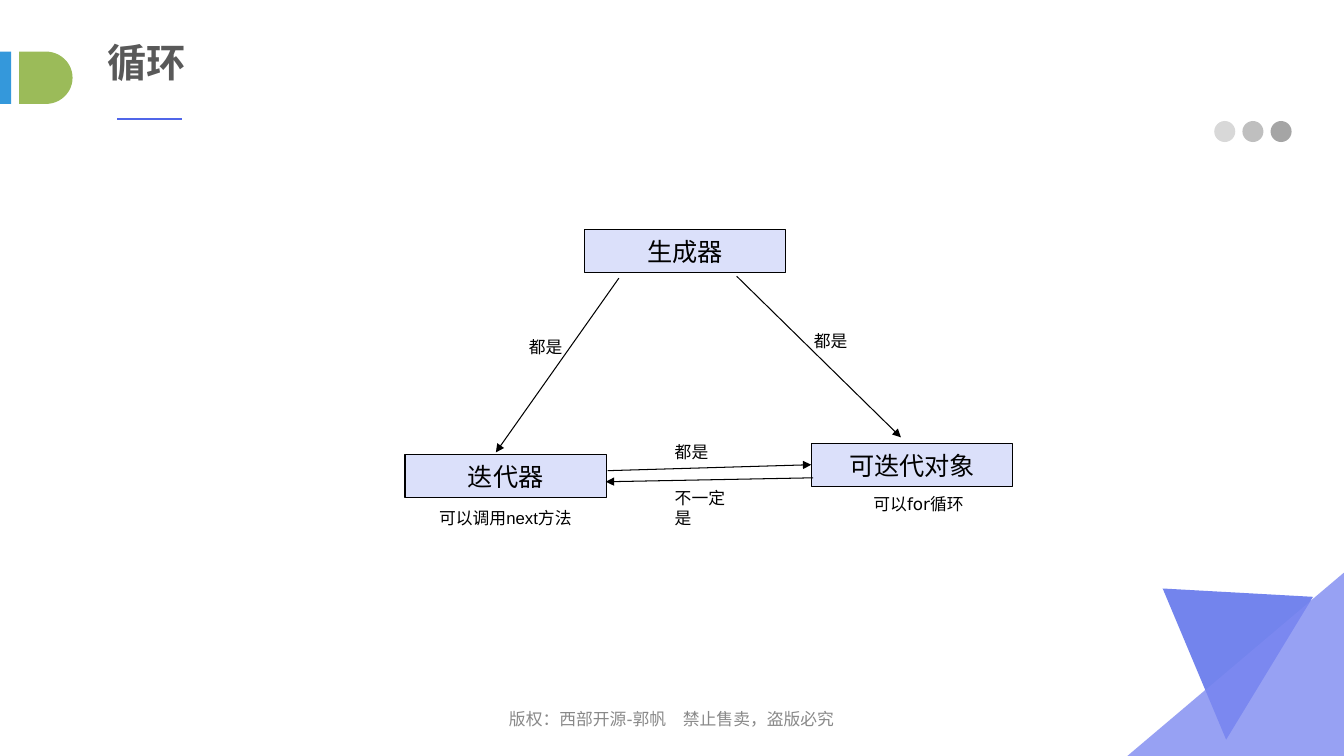
from dataclasses import dataclass

from lxml.etree import SubElement
from pptx import Presentation
from pptx.dml.color import RGBColor
from pptx.enum.shapes import MSO_CONNECTOR, MSO_SHAPE
from pptx.enum.text import MSO_ANCHOR, MSO_AUTO_SIZE, PP_ALIGN
from pptx.oxml.ns import qn
from pptx.util import Cm, Pt


@dataclass(frozen=True)
class Theme:
    accent: str = "5066E9"
    accent_light: str = "7E8AF1"
    blue: str = "3498DB"
    green: str = "9BBB59"
    dots: tuple = ("D8D8D8", "BFBFBF", "A5A5A5")
    node: str = "DBE0FA"
    ink: str = "000000"
    title: str = "595959"
    footer: str = "898989"
    sans: str = "Arial"
    wide: str = "DejaVu Sans"
    mono: str = "Courier New"
    title_size: float = 28
    node_size: float = 18
    small_size: float = 12
    thin: float = 0.75
    rule: float = 1.5


@dataclass(frozen=True)
class Box:
    """A region in centimetres; its parts are placed from its top left."""
    left: float
    top: float
    width: float
    height: float

    def inner(self, left, top, width, height):
        return Box(self.left + left, self.top + top, width, height)

    def point(self, x, y):
        return Cm(self.left + x), Cm(self.top + y)

    def lengths(self):
        return [Cm(value) for value in (self.left, self.top, self.width, self.height)]


THEME = Theme()
PAGE = Box(0, 0, 33.88, 19.05)


def write_text(shape, text, *, size, font, color=THEME.ink, bold=False, align=PP_ALIGN.LEFT,
               anchor=MSO_ANCHOR.TOP, wrap=True, line_spacing=None):
    frame = shape.text_frame
    frame.word_wrap = wrap
    frame.auto_size = MSO_AUTO_SIZE.NONE
    frame.vertical_anchor = anchor
    paragraph = frame.paragraphs[0]
    paragraph.alignment = align
    paragraph.line_spacing = line_spacing
    run = paragraph.add_run()
    run.text = text
    run.font.size = Pt(size)
    run.font.name = font
    run.font.bold = bold
    run.font.color.rgb = RGBColor.from_string(color)


def add_text(shapes, box, text, **text_format):
    write_text(shapes.add_textbox(*box.lengths()), text, **text_format)


def paint(shape, fill, line=None, opacity=None):
    shape.shadow.inherit = False
    shape.fill.solid()
    shape.fill.fore_color.rgb = RGBColor.from_string(fill)
    if opacity is not None:
        color = shape.fill._xPr.find(qn("a:solidFill"))[0]
        SubElement(color, qn("a:alpha"), val=str(opacity * 1000))
    if line is None:
        shape.line.fill.background()
    else:
        shape.line.color.rgb = RGBColor.from_string(line)
        shape.line.width = Pt(THEME.thin)


def add_block(shapes, kind, box, fill, line=None):
    shape = shapes.add_shape(kind, *box.lengths())
    paint(shape, fill, line)
    return shape


def add_line(shapes, start, end, color, width, arrow=False):
    connector = shapes.add_connector(MSO_CONNECTOR.STRAIGHT, *start, *end)
    connector.line.color.rgb = RGBColor.from_string(color)
    connector.line.width = Pt(width)
    if arrow:
        SubElement(connector.line._get_or_add_ln(), qn("a:tailEnd"), type="triangle")
    SubElement(connector._element.spPr, qn("a:effectLst"))


def draw_footer(slide, box):
    add_text(slide.shapes, box, "版权：西部开源-郭帆　禁止售卖，盗版必究",
             size=THEME.small_size, font=THEME.wide, color=THEME.footer,
             align=PP_ALIGN.CENTER, anchor=MSO_ANCHOR.MIDDLE, line_spacing=1.2)


def draw_corner(slide, box):
    triangles = (
        (THEME.accent, ((4.68, 0.61), (2.49, 4.21), (0.89, 0.4))),
        (THEME.accent_light, ((box.width, box.height), (0, box.height), (box.width, 0))),
    )
    for fill, corners in triangles:
        first, *others = [box.point(*corner) for corner in corners]
        builder = slide.shapes.build_freeform(*first)
        builder.add_line_segments(others, close=True)
        paint(builder.convert_to_shape(), fill, opacity=80)


def draw_header(slide, box):
    # Title with its side marks and underline
    add_text(slide.shapes, box.inner(2.46, 0.74, 12.19, 1.63), "循环", size=THEME.title_size,
             font=THEME.mono, color=THEME.title, bold=True, anchor=MSO_ANCHOR.MIDDLE)
    add_block(slide.shapes, MSO_SHAPE.RECTANGLE, box.inner(0, 1.3, 0.28, 1.32), THEME.blue)
    add_block(slide.shapes, MSO_SHAPE.FLOWCHART_DELAY, box.inner(0.48, 1.3, 1.35, 1.32),
              THEME.green)
    add_line(slide.shapes, box.point(2.95, 3), box.point(4.6, 3), THEME.accent, THEME.rule)

    # Row of dots on the right
    dots = slide.shapes.add_group_shape().shapes
    for index, fill in enumerate(THEME.dots):
        add_block(dots, MSO_SHAPE.OVAL, box.inner(30.61 + 0.71 * index, 3.05, 0.53, 0.53), fill)


def draw_diagram(slide, box):
    shapes = slide.shapes.add_group_shape().shapes

    # Concepts
    for text, left, top, font in (
        ("生成器", 4.52, 0, THEME.sans),
        ("迭代器", 0, 5.67, THEME.wide),
        ("可迭代对象", 10.24, 5.39, THEME.wide),
    ):
        node = add_block(shapes, MSO_SHAPE.RECTANGLE, box.inner(left, top, 5.08, 1.09),
                         THEME.node, THEME.ink)
        write_text(node, text, size=THEME.node_size, font=font, align=PP_ALIGN.CENTER,
                   anchor=MSO_ANCHOR.MIDDLE, wrap=False)

    # Relations
    for start, end in (
        ((5.39, 1.22), (2.29, 5.61)),
        ((5.11, 6.07), (10.24, 5.92)),
        ((10.29, 6.25), (5.06, 6.35)),
        ((8.36, 1.17), (12.5, 5.23)),
    ):
        add_line(shapes, box.point(*start), box.point(*end), THEME.ink, THEME.thin, arrow=True)

    # Captions under the concepts and labels on the arrows
    for text, left, top, width, height, font, wrap in (
        ("可以调用next方法", 0.61, 6.88, 4.04, 0.76, THEME.sans, False),
        ("可以for循环", 11.56, 6.53, 2.97, 0.76, THEME.wide, False),
        ("都是", 2.87, 2.57, 1.68, 0.76, THEME.sans, True),
        ("都是", 6.55, 5.21, 1.78, 0.76, THEME.sans, True),
        ("不一定是", 6.55, 6.38, 1.78, 1.27, THEME.wide, True),
        ("都是", 10.06, 2.41, 1.68, 0.76, THEME.sans, True),
    ):
        add_text(shapes, box.inner(left, top, width, height), text,
                 size=THEME.small_size, font=font, wrap=wrap)


def main():
    presentation = Presentation()
    presentation.slide_width = Cm(PAGE.width)
    presentation.slide_height = Cm(PAGE.height)
    slide = presentation.slides.add_slide(presentation.slide_layouts[6])
    draw_footer(slide, PAGE.inner(11.43, 17.63, 11, 0.89))
    draw_corner(slide, PAGE.inner(28.42, 14.43, 5.46, 4.62))
    draw_header(slide, PAGE.inner(0, 0, PAGE.width, 3.6))
    draw_diagram(slide, PAGE.inner(10.21, 5.79, 15.32, 7.65))
    presentation.save("out.pptx")


if __name__ == "__main__":
    main()
